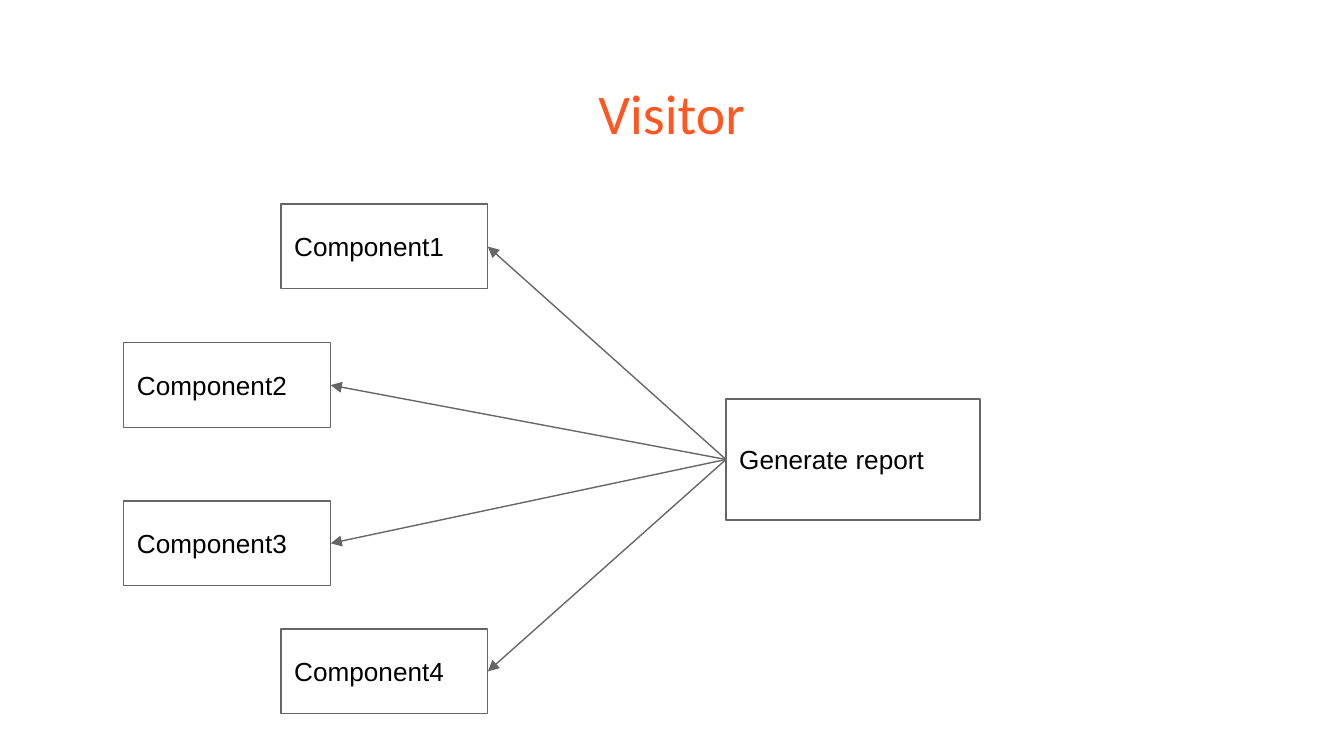
from collections import namedtuple
from dataclasses import dataclass

from lxml.etree import SubElement
from pptx import Presentation
from pptx.dml.color import RGBColor
from pptx.enum.shapes import MSO_CONNECTOR, MSO_SHAPE
from pptx.enum.text import MSO_ANCHOR, MSO_AUTO_SIZE, PP_ALIGN
from pptx.oxml.ns import qn
from pptx.util import Cm, Pt

Box = namedtuple("Box", "left top width height")


@dataclass(frozen=True)
class Theme:
    title_font: str = "Calibri"
    body_font: str = "Arial"
    title_size: Pt = Pt(30)
    body_size: Pt = Pt(14)
    line_width: Pt = Pt(0.75)
    title_color: RGBColor = RGBColor(0xFF, 0x57, 0x22)
    text_color: RGBColor = RGBColor(0, 0, 0)
    line_color: RGBColor = RGBColor(0x66, 0x66, 0x66)


THEME = Theme()
LEFT_SITE, RIGHT_SITE = 1, 3  # connection sites of a rectangle
INSET = Cm(0.25)


def set_attributes(target, values):
    for name, value in values.items():
        setattr(target, name, value)


def write_text(shape, text, font, size, color, alignment, anchor):
    frame = shape.text_frame
    set_attributes(frame, {
        "text": text, "word_wrap": True, "auto_size": MSO_AUTO_SIZE.NONE,
        "vertical_anchor": anchor, "margin_left": INSET, "margin_right": INSET,
        "margin_top": INSET, "margin_bottom": INSET,
    })
    paragraph = frame.paragraphs[0]
    paragraph.alignment = alignment
    run_font = paragraph.runs[0].font
    set_attributes(run_font, {"name": font, "size": size, "bold": False})
    run_font.color.rgb = color


def style_line(line):
    line.color.rgb = THEME.line_color
    line.width = THEME.line_width


def add_title(slide, box, text):
    title = slide.shapes.title
    set_attributes(title, box._asdict())
    write_text(title, text, THEME.title_font, THEME.title_size,
               THEME.title_color, PP_ALIGN.CENTER, MSO_ANCHOR.TOP)


def add_node(slide, box, text):
    node = slide.shapes.add_shape(MSO_SHAPE.RECTANGLE, *box)
    node.shadow.inherit = False
    node.fill.background()
    style_line(node.line)
    write_text(node, text, THEME.body_font, THEME.body_size,
               THEME.text_color, PP_ALIGN.LEFT, MSO_ANCHOR.MIDDLE)
    return node


def add_arrow(slide, source, target):
    arrow = slide.shapes.add_connector(MSO_CONNECTOR.STRAIGHT, 0, 0, 0, 0)
    arrow.begin_connect(source, LEFT_SITE)
    arrow.end_connect(target, RIGHT_SITE)
    style_line(arrow.line)
    SubElement(arrow.line._get_or_add_ln(), qn("a:tailEnd"), type="triangle")
    SubElement(arrow._element.spPr, qn("a:effectLst"))


def add_visitor_diagram(slide, box):
    # Components fan out on the left: outer ones are indented
    indent = Cm(2.97)
    offsets = [(indent, 0), (0, Cm(2.62)), (0, Cm(5.61)), (indent, Cm(8.03))]
    components = [
        add_node(slide, Box(box.left + x, box.top + y, Cm(3.91), Cm(1.6)),
                 f"Component{number}")
        for number, (x, y) in enumerate(offsets, start=1)
    ]

    # The visitor sits at the right edge of the region
    width = Cm(4.8)
    visitor = add_node(
        slide,
        Box(box.left + box.width - width, box.top + Cm(3.68), width, Cm(2.29)),
        "Generate report")

    # Arrows from the visitor to each component
    for component in components:
        add_arrow(slide, visitor, component)


def main():
    presentation = Presentation()
    set_attributes(presentation,
                   {"slide_width": Cm(25.4), "slide_height": Cm(14.29)})
    title_only = presentation.slide_layouts.get_by_name("Title Only")
    slide = presentation.slides.add_slide(title_only)
    add_title(slide, Box(Cm(0.86), Cm(1.24), Cm(23.67), Cm(1.6)), "Visitor")
    add_visitor_diagram(slide, Box(Cm(2.34), Cm(3.86), Cm(16.18), Cm(9.63)))
    presentation.save("out.pptx")


if __name__ == "__main__":
    main()
